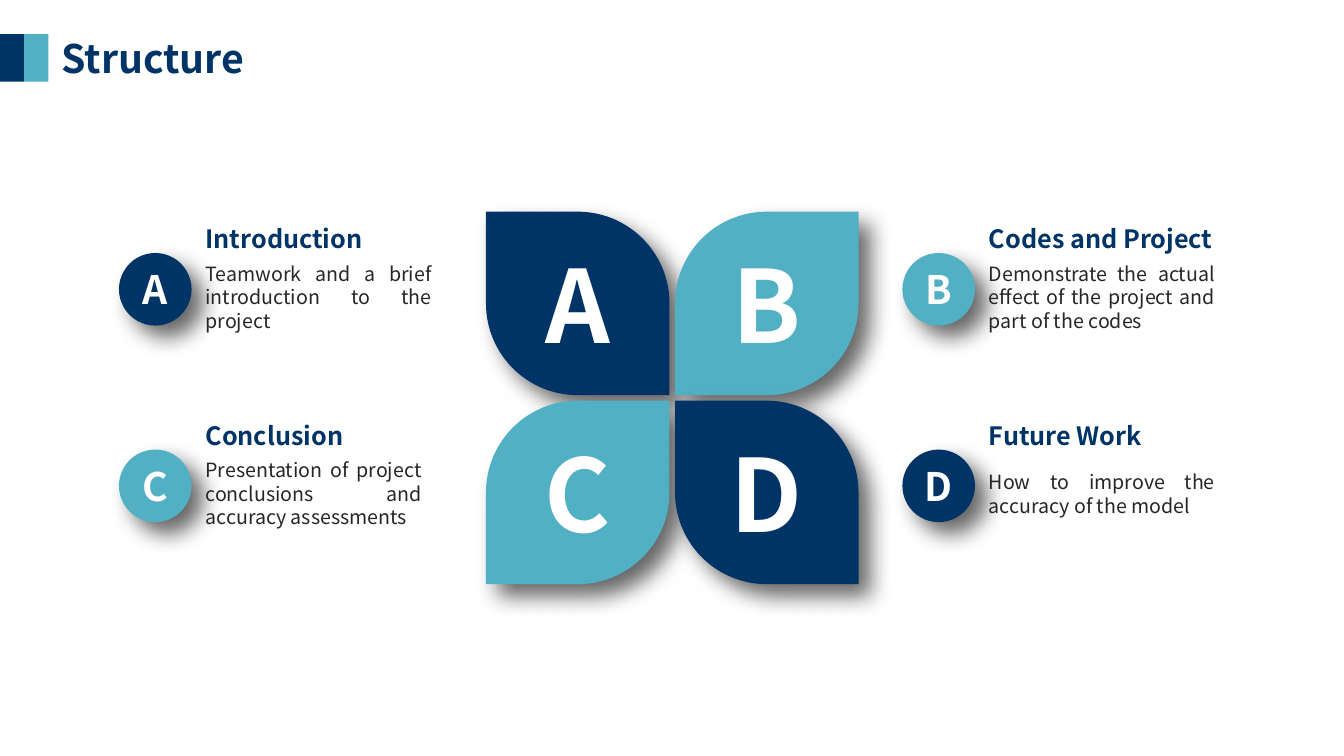
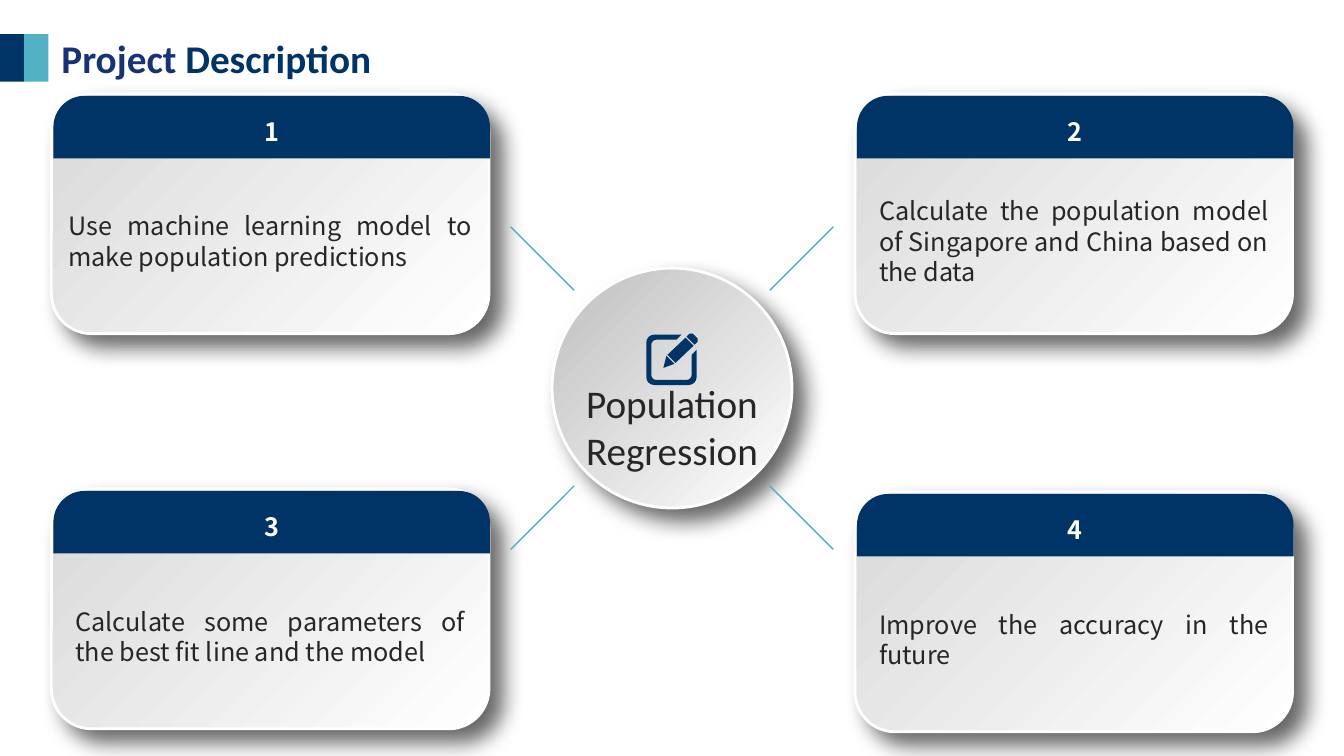
from math import cos, radians, sin

from lxml.etree import SubElement
from pptx import Presentation
from pptx.dml.color import RGBColor
from pptx.enum.shapes import MSO_CONNECTOR as Connector
from pptx.enum.shapes import MSO_SHAPE as Preset
from pptx.enum.text import MSO_ANCHOR as Anchor
from pptx.enum.text import MSO_AUTO_SIZE as AutoSize
from pptx.enum.text import PP_ALIGN as Align
from pptx.oxml.ns import qn
from pptx.util import Inches, Pt

WIDTH, HEIGHT = 13.33, 7.5
TITLE_ONLY = 5
NAVY, TEAL, INK, WHITE = "003366", "52B0C5", "262626", "FFFFFF"
NOTO, CALIBRI = "Noto Sans CJK SC", "Calibri"

TITLE = dict(size=Pt(28), bold=True, name=NOTO)
PETAL = dict(size=Pt(72), bold=True, name=NOTO)
BADGE = dict(size=Pt(28), bold=True, name=NOTO)
HEADING = dict(size=Pt(18), bold=True, name=NOTO)
SMALL = dict(size=Pt(14), name=NOTO)
BODY = dict(size=Pt(18), name=NOTO)
HUB = dict(size=Pt(28), name=CALIBRI)

TOPICS = [
    # letter, heading, description, description width
    ("A", "Introduction",
     "Teamwork and a brief introduction to the project", 2.44),
    ("B", "Codes and Project",
     "Demonstrate the actual effect of the project and part of the codes", 2.44),
    ("C", "Conclusion",
     "Presentation of project conclusions and accuracy assessments", 2.34),
    ("D", "Future Work", "How to improve the accuracy of the model", 2.44),
]
CARD_WIDTH, CARD_HEIGHT, CARD_MARGIN = 4.34, 2.38, 0.51
CARD_RIGHT = WIDTH - CARD_MARGIN - CARD_WIDTH
CARDS = [
    # left, top, text indent, text
    (CARD_MARGIN, 0.93, 0.07,
     "Use machine learning model to make population predictions"),
    (CARD_RIGHT, 0.93, 0.14,
     "Calculate the population model of Singapore and China based on the data"),
    (CARD_MARGIN, 4.85, 0.14,
     "Calculate some parameters of the best fit line and the model"),
    (CARD_RIGHT, 4.88, 0.14, "Improve the accuracy in the future"),
]


def color(value):
    return RGBColor.from_string(value)


def inches(*lengths):
    return [Inches(length) for length in lengths]


def add_span(para, text, style, ink):
    span = para.add_run()
    span.text = text
    for key, value in style.items():
        setattr(span.font, key, value)
    span.font.color.rgb = color(ink)


def write(box, spans, style, align=Align.CENTER, anchor=Anchor.MIDDLE,
          margins=(0, 0), wrap=True):
    """Fill a shape with one paragraph of (text, ink) spans."""
    frame = box.text_frame
    side, end = inches(*margins)
    layout = dict(word_wrap=wrap, auto_size=AutoSize.NONE, vertical_anchor=anchor,
                  margin_left=side, margin_right=side,
                  margin_top=end, margin_bottom=end)
    for key, value in layout.items():
        setattr(frame, key, value)
    para = frame.paragraphs[0]
    para.alignment = align
    for text, ink in spans:
        add_span(para, text, style, ink)


def add_text(page, place, text, style, ink, **layout):
    box = page.shapes.add_textbox(*inches(*place))
    write(box, [(text, ink)], style, **layout)


def add_shadow(shape):
    effects = shape._element.spPr.find(qn("a:effectLst"))
    shadow = SubElement(effects, qn("a:outerShdw"), blurRad=str(Pt(16)),
                        dist=str(Pt(12)), dir="2700000", algn="tl", rotWithShape="0")
    black = SubElement(shadow, qn("a:srgbClr"), val="000000")
    SubElement(black, qn("a:alpha"), val="60000")


def add_shape(page, preset, place, fill=None, adjust=(), shadow=False):
    shape = page.shapes.add_shape(preset, *inches(*place))
    for index, value in enumerate(adjust):
        shape.adjustments[index] = value
    shape.shadow.inherit = False
    shape.line.fill.background()
    if fill:
        shape.fill.solid()
        shape.fill.fore_color.rgb = color(fill)
    if shadow:
        add_shadow(shape)
    return shape


def add_panel(page, preset, place, shade):
    """Add a raised white-edged shape, shaded from its top left corner."""
    panel = add_shape(page, preset, place, shadow=True)
    panel.fill.gradient()
    panel.fill.gradient_angle = 135
    for stop, tone in zip(panel.fill.gradient_stops, (WHITE, shade)):
        stop.color.rgb = color(tone)
    panel.line.color.rgb = color(WHITE)
    panel.line.width = Pt(2)


def add_page(deck, spans, font):
    page = deck.slides.add_slide(deck.slide_layouts[TITLE_ONLY])
    title = page.shapes.title
    title.left, title.top, title.width, title.height = inches(0.51, 0.29, 5.22, 0.57)
    write(title, spans, {**TITLE, "name": font}, align=Align.LEFT,
          anchor=Anchor.TOP, margins=(0.1, 0.05))
    for column, fill in enumerate((NAVY, TEAL)):
        add_shape(page, Preset.RECTANGLE, (column * 0.24, 0.34, 0.24, 0.47), fill)
    return page


def add_petal(page, row, column, letter, fill):
    size, pitch = 1.82, 1.875
    adjust = (0, 0.5) if row == column else (0.5, 0)
    petal = add_shape(page, Preset.ROUND_2_DIAG_RECTANGLE,
                      (4.82 + column * pitch, 2.1 + row * pitch, size, size),
                      fill, adjust, shadow=True)
    write(petal, [(letter, WHITE)], PETAL, wrap=False)


def add_topic(page, row, column, topic, fill):
    letter, heading, description, width = topic
    left, top = 1.94 + column * 7.77, 2.17 + row * 1.95
    badge = add_shape(page, Preset.OVAL, (left - 0.76, top + 0.34, 0.72, 0.72),
                      fill, shadow=True)
    write(badge, [(letter, WHITE)], BADGE, wrap=False)
    layout = dict(align=Align.JUSTIFY, margins=(0.1, 0.05))
    add_text(page, (left, top, 2.54, 0.4), heading, HEADING, NAVY, **layout)
    add_text(page, (left, top + 0.37, width, 0.81), description, SMALL, INK, **layout)


def add_card(page, number, left, top, indent, text):
    add_panel(page, Preset.ROUNDED_RECTANGLE,
              (left, top, CARD_WIDTH, CARD_HEIGHT), "D9D9D9")
    band = add_shape(page, Preset.ROUND_2_SAME_RECTANGLE,
                     (left + 0.02, top + 0.02, CARD_WIDTH - 0.01, 0.62),
                     NAVY, (0.5, 0))
    write(band, [(str(number), WHITE)], HEADING)
    add_text(page, (left + indent, top + 0.95, CARD_WIDTH - 2 * indent, 1.02),
             text, BODY, INK, align=Align.JUSTIFY, margins=(0.1, 0.05))


def add_spokes(page, x, y, inner, outer):
    """Add four diagonal lines around the point x, y."""
    for across in (-1, 1):
        for down in (-1, 1):
            ends = inches(x + across * inner, y + down * inner,
                          x + across * outer, y + down * outer)
            spoke = page.shapes.add_connector(Connector.STRAIGHT, *ends)
            spoke.line.color.rgb = color(TEAL)
            spoke.line.width = Pt(1)
            SubElement(spoke._element.spPr, qn("a:effectLst"))


def arc(x, y, radius, start, sweep):
    angles = [radians(start + sweep * step / 4) for step in range(5)]
    return [(x + radius * cos(angle), y + radius * sin(angle)) for angle in angles]


def add_edit_icon(page, left, top):
    """Add a pencil over an open pad, drawn in hundredths of an inch."""
    pad = [(35, 2), (30, 7), *arc(10, 12, 5, 270, -90), *arc(10, 42, 5, 180, -90),
           *arc(40, 42, 5, 90, -90), (45, 22), (50, 17), *arc(42, 44, 8, 0, 90),
           *arc(8, 44, 8, 90, 90), *arc(8, 10, 8, 180, 90)]
    cap = [(51, 9), (48, 12), (40, 4), (43, 1), (46, 1), (51, 6)]
    body = [(29, 30), (21, 22), (39, 5), (47, 13)]
    tip = [(28, 31), (17, 35), (20, 23)]
    fine = 10
    outline = None
    for contour in (pad, cap, body, tip):
        start, *rest = [(x * fine, y * fine) for x, y in contour]
        if outline is None:
            outline = page.shapes.build_freeform(*start, scale=Inches(0.01) / fine)
        else:
            outline.move_to(*start)
        outline.add_line_segments(rest, close=True)
    icon = outline.convert_to_shape(*inches(left, top))
    icon.shadow.inherit = False
    icon.fill.solid()
    icon.fill.fore_color.rgb = color(NAVY)
    icon.line.fill.background()


def build_structure(deck):
    page = add_page(deck, [("Structure", NAVY)], NOTO)
    for index, topic in enumerate(TOPICS):
        row, column = divmod(index, 2)
        fill = NAVY if row == column else TEAL
        add_petal(page, row, column, topic[0], fill)
        add_topic(page, row, column, topic, fill)


def build_description(deck):
    page = add_page(deck, [("Project ", "173376"), ("Description", NAVY)], CALIBRI)
    for number, card in enumerate(CARDS, 1):
        add_card(page, number, *card)
    x, y, size = WIDTH / 2, 3.85, 2.38
    add_panel(page, Preset.OVAL, (x - size / 2, y - size / 2, size, size), "BFBFBF")
    add_spokes(page, x, y, 0.97, 1.6)
    add_text(page, (x - 0.95, 3.76, 1.9, 0.94), "Population Regression", HUB, INK)
    add_edit_icon(page, 6.41, 3.3)


def main():
    deck = Presentation()
    deck.slide_width, deck.slide_height = inches(WIDTH, HEIGHT)
    build_structure(deck)
    build_description(deck)
    deck.save("out.pptx")


if __name__ == "__main__":
    main()
